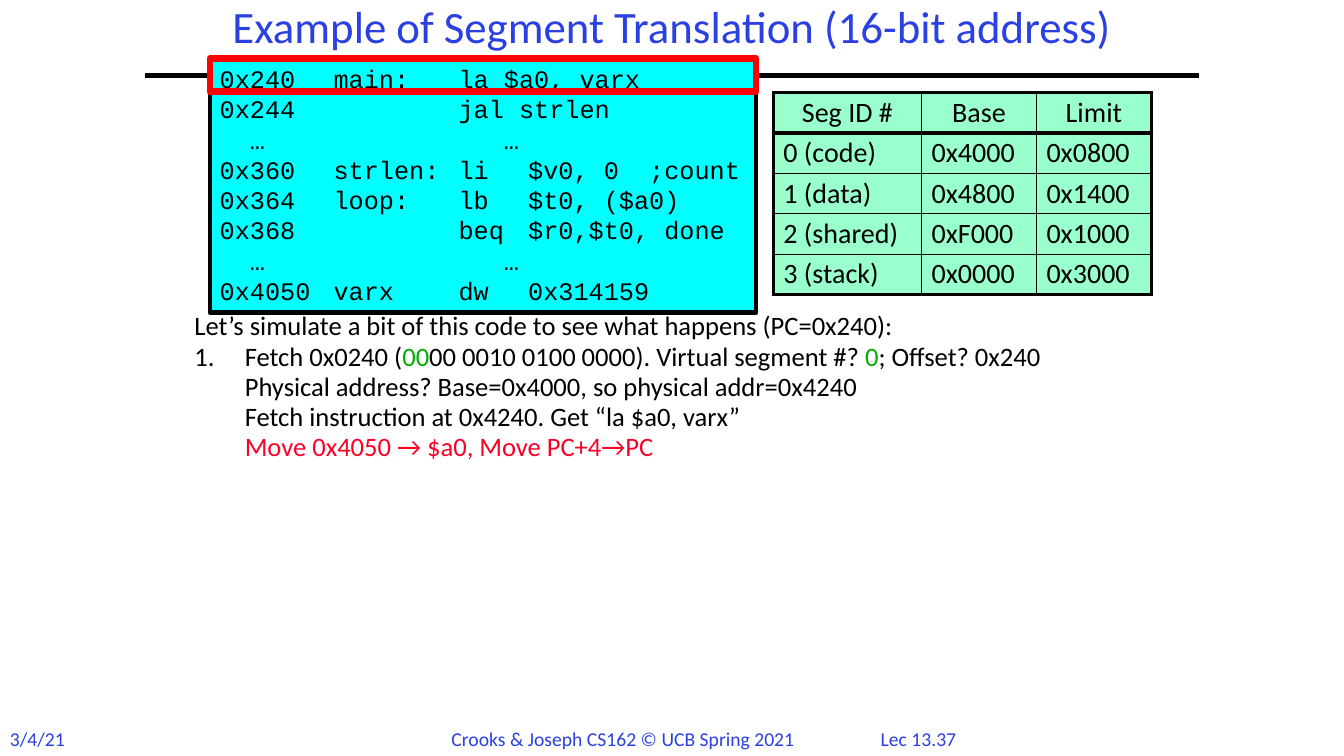
import pptx
import pptx.dml.color
import pptx.enum.shapes
import pptx.enum.text
import pptx.oxml.ns
import pptx.util
from lxml import etree

Inches, Pt = pptx.util.Inches, pptx.util.Pt
ALIGN = pptx.enum.text.PP_ALIGN
ANCHOR = pptx.enum.text.MSO_ANCHOR
COLORS = {"black": "000000", "blue": "2A40E2", "cyan": "00FFFF", "mint": "99FFCC",
          "green": "00AE00", "red": "FC0128", "outline": "FF0000"}


def rgb(name):
    return pptx.dml.color.RGBColor.from_string(COLORS[name])


def sub(parent, tag, **attrs):
    return etree.SubElement(parent, pptx.oxml.ns.qn(tag), attrs)


def write(p, text, size=20, font="Calibri", color="black", align=ALIGN.LEFT,
          spacing=1.0, before=0, left=0, hang=0, number=False, tabs=()):
    """Fill a paragraph; text is a string or a list of (text, color) pairs."""
    pPr = p._p.get_or_add_pPr()
    if left:
        pPr.set("marL", str(Inches(left)))
        pPr.set("indent", str(-Inches(hang)))
    if number:
        sub(pPr, "a:buFont", typeface="+mj-lt")
        sub(pPr, "a:buAutoNum", type="arabicPeriod")
    if tabs:
        stops = sub(pPr, "a:tabLst")
        for pos in tabs:
            sub(stops, "a:tab", pos=str(Inches(pos)), algn="l")
    p.alignment, p.line_spacing, p.space_before = align, spacing, Pt(before)
    for part, part_color in [(text, color)] if isinstance(text, str) else text:
        r = p.add_run()
        r.text = part
        r.font.size, r.font.name = Pt(size), font
        r.font.color.rgb = rgb(part_color)


class SlideBuilder:
    def __init__(self, prs):
        self.s = prs.slides.add_slide(prs.slide_layouts[6])
        self.shapes = self.s.shapes

    def line(self, x1, y1, x2, y2, width):
        c = self.shapes.add_connector(pptx.enum.shapes.MSO_CONNECTOR.STRAIGHT,
                                      *map(Inches, (x1, y1, x2, y2)))
        c.line.color.rgb, c.line.width = rgb("black"), Pt(width)
        sub(c._element.spPr, "a:effectLst")

    def fill_text(self, sp, paragraphs, anchor=ANCHOR.TOP, **style):
        tf = sp.text_frame
        tf.word_wrap, tf.vertical_anchor = True, anchor
        for i, (text, extra) in enumerate(paragraphs):
            p = tf.add_paragraph() if i else tf.paragraphs[0]
            write(p, text, **{**style, **extra})

    def text(self, box, paragraphs, **style):
        self.fill_text(self.shapes.add_textbox(*map(Inches, box)), paragraphs, **style)

    def rect(self, box, line, width, fill=None):
        sp = self.shapes.add_shape(pptx.enum.shapes.MSO_SHAPE.RECTANGLE, *map(Inches, box))
        sp.shadow.inherit = False
        sp.line.color.rgb, sp.line.width = rgb(line), Pt(width)
        if fill:
            sp.fill.solid()
            sp.fill.fore_color.rgb = rgb(fill)
        else:
            sp.fill.background()
        return sp

    def table(self, left, top, widths, row_height, rows):
        box = (left, top, sum(widths), row_height * len(rows))
        tbl = self.shapes.add_table(len(rows), len(widths), *map(Inches, box)).table
        for col, width in zip(tbl.columns, widths):
            col.width = Inches(width)
        last_row, last_col = len(rows) - 1, len(widths) - 1
        for i, row in enumerate(rows):
            for j, text in enumerate(row):
                cell = tbl.cell(i, j)
                write(cell.text_frame.paragraphs[0], text, spacing=0.9,
                      align=ALIGN.LEFT if i else ALIGN.CENTER)
                # Heavy frame, heavier rule under the header, thin inner grid
                self.borders(cell, {
                    "L": 1 if j else 2.25,
                    "R": 2.25 if j == last_col else 1,
                    "T": {0: 2.25, 1: 3}.get(i, 1),
                    "B": {0: 3, last_row: 2.25}.get(i, 1)})
                cell.fill.solid()
                cell.fill.fore_color.rgb = rgb("mint")

    def borders(self, cell, widths):
        tcPr = cell._tc.get_or_add_tcPr()
        for side, width in widths.items():
            ln = sub(tcPr, "a:ln" + side, w=str(Pt(width)))
            sub(sub(ln, "a:solidFill"), "a:srgbClr", val=COLORS["black"])


CODE = ["0x240\tmain:\tla $a0, varx",
        "0x244\t\tjal strlen",
        "  …\t\t   …",
        "0x360\tstrlen:\tli \t$v0, 0  ;count",
        "0x364\tloop:\tlb \t$t0, ($a0)",
        "0x368\t\tbeq\t$r0,$t0, done",
        "  …\t\t   …",
        "0x4050\tvarx\tdw\t0x314159"]

SEGMENTS = [("Seg ID #", "Base", "Limit"),
            ("0 (code)", "0x4000", "0x0800"),
            ("1 (data)", "0x4800", "0x1400"),
            ("2 (shared)", "0xF000", "0x1000"),
            ("3 (stack)", "0x0000", "0x3000")]

FETCH = [("Fetch 0x0240 (", "black"), ("00", "green"),
         ("00 0010 0100 0000). Virtual segment #? ", "black"),
         ("0", "green"), ("; Offset? 0x240", "black")]
STEP = {"before": 3.4, "left": 0.5}
STEPS = [("Let’s simulate a bit of this code to see what happens (PC=0x240):", {}),
         (FETCH, {**STEP, "hang": 0.5, "number": True}),
         ("Physical address? Base=0x4000, so physical addr=0x4240", STEP),
         ("Fetch instruction at 0x4240. Get “la $a0, varx”", STEP),
         ("Move 0x4050 → $a0, Move PC+4→PC", {**STEP, "color": "red"})]

FOOTERS = [(8.5, 1.22, "Lec 13.37", ALIGN.CENTER),
           (0, 0.8, "3/4/21", ALIGN.LEFT),
           (4.38, 3.76, "Crooks & Joseph CS162 © UCB Spring 2021", ALIGN.LEFT)]


def main():
    prs = pptx.Presentation()
    prs.slide_width, prs.slide_height = Inches(13.33), Inches(7.5)
    b = SlideBuilder(prs)

    # Title rule and footer
    b.line(1.44, 0.75, 11.89, 0.75, 3)
    for left, width, text, align in FOOTERS:
        b.text((left, 7.16, width, 0.34), [(text, {})], size=14, color="blue", align=align)

    # Simulation steps
    b.text((1.83, 3.08, 9.75, 3.92), STEPS, size=19, spacing=0.8)

    # Code listing
    listing = b.rect((2.08, 0.58, 5.42, 2.52), "black", 3, fill="cyan")
    b.fill_text(listing, [(row, {}) for row in CODE], size=18, font="Courier New",
                spacing=Pt(21.6), tabs=(1.13, 2.37, 3.06))

    # Segment table
    b.table(7.67, 0.92, (1.47, 1.14, 1.14), 0.4, SEGMENTS)

    # Current instruction marker
    b.rect((2.08, 0.58, 5.42, 0.33), "outline", 4.5)

    # Title
    b.text((1.75, 0, 9.83, 0.58),
           [("Example of Segment Translation (16-bit address)", {})],
           size=32, color="blue", align=ALIGN.CENTER, spacing=0.9, anchor=ANCHOR.MIDDLE)

    prs.save("out.pptx")


if __name__ == "__main__":
    main()
